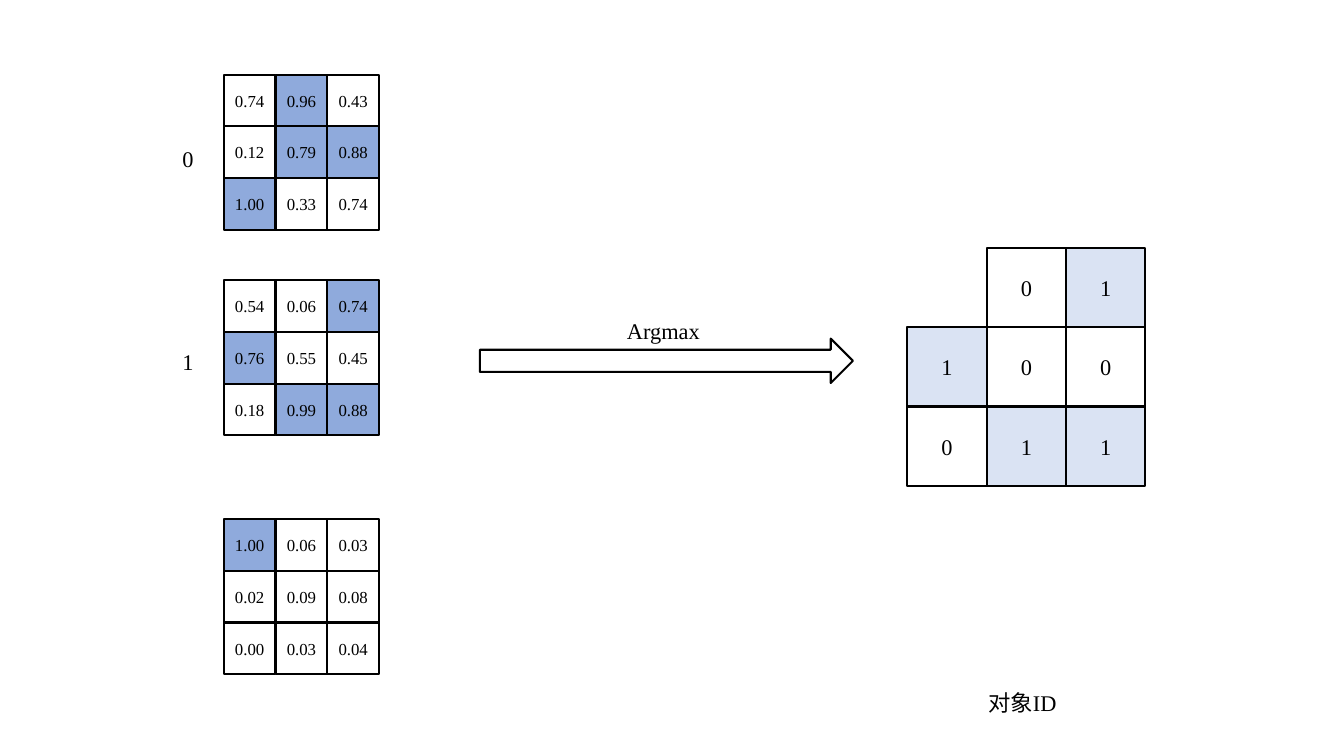
"""Build a slide showing how argmax over score grids gives object IDs."""
from pptx import Presentation
from pptx.dml.color import RGBColor
from pptx.enum.shapes import MSO_SHAPE
from pptx.enum.text import MSO_ANCHOR, MSO_AUTO_SIZE, PP_ALIGN
from pptx.util import Inches, Pt

RECTANGLE, RIGHT_ARROW = MSO_SHAPE.RECTANGLE, MSO_SHAPE.RIGHT_ARROW
MIDDLE, CENTER = MSO_ANCHOR.MIDDLE, PP_ALIGN.CENTER
FIT_SHAPE = MSO_AUTO_SIZE.SHAPE_TO_FIT_TEXT

COLORS = {"ink": "000000", "plain": "FFFFFF", "winner": "8FAADC", "object": "DAE3F3"}
SIDE = 3
SCORE_CELL = 1.54 / SIDE
ID_CELL = 2.36 / SIDE
SCORES_LEFT = 2.22
IDS_LEFT, IDS_TOP = 9, 2.46

score_grids = [
    (0.74, [0.74, 0.96, 0.43, 0.12, 0.79, 0.88, 1.00, 0.33, 0.74]),
    (2.78, [0.54, 0.06, 0.74, 0.76, 0.55, 0.45, 0.18, 0.99, 0.88]),
    (5.15, [1.00, 0.06, 0.03, 0.02, 0.09, 0.08, 0.00, 0.03, 0.04]),
]
labels = [
    ("Argmax", 6.01, 3.1, 1.14),
    ("0", 1.71, 1.39, 0.28),
    ("1", 1.71, 3.4, 0.28),
    ("对象ID", 9.16, 6.79, 1.96),
]


def write(shape, text, size):
    frame = shape.text_frame
    frame.word_wrap = True
    para = frame.paragraphs[0]
    para.alignment = CENTER
    span = para.add_run()
    span.text = text
    for name, value in {"name": "Times New Roman", "size": Pt(size)}.items():
        setattr(span.font, name, value)
    span.font.color.rgb = RGBColor.from_string(COLORS["ink"])


def add_outlined(kind, left, top, width, height, fill, text="", size=12):
    shape = page.shapes.add_shape(
        kind, Inches(left), Inches(top), Inches(width), Inches(height)
    )
    shape.shadow.inherit = False
    shape.fill.solid()
    shape.fill.fore_color.rgb = RGBColor.from_string(COLORS[fill])
    shape.line.color.rgb = RGBColor.from_string(COLORS["ink"])
    shape.line.width = Pt(1.5)
    if text:
        margins = ("margin_left", "margin_right", "margin_top", "margin_bottom")
        for margin in margins:
            setattr(shape.text_frame, margin, Inches(0.1))
        shape.text_frame.vertical_anchor = MIDDLE
        write(shape, text, size)


deck = Presentation()
deck.slide_width, deck.slide_height = Inches(13.33), Inches(7.5)
page = deck.slides.add_slide(deck.slide_layouts[6])

stacks = zip(*(scores for _, scores in score_grids))
object_ids = [stack.index(max(stack)) for stack in stacks]

for grid_id, (grid_top, scores) in enumerate(score_grids):
    for index, score in enumerate(scores):
        row, column = divmod(index, SIDE)
        left = SCORES_LEFT + column * SCORE_CELL
        top = grid_top + row * SCORE_CELL
        fill = "winner" if object_ids[index] == grid_id else "plain"
        add_outlined(RECTANGLE, left, top, SCORE_CELL, SCORE_CELL, fill, f"{score:.2f}")

add_outlined(RIGHT_ARROW, 4.76, 3.36, 3.7, 0.44, "plain")

for index, object_id in enumerate(object_ids):
    if object_id == 2:
        continue
    row, column = divmod(index, SIDE)
    left = IDS_LEFT + column * ID_CELL
    top = IDS_TOP + row * ID_CELL
    fill = "object" if object_id == 1 else "plain"
    add_outlined(RECTANGLE, left, top, ID_CELL, ID_CELL, fill, str(object_id), 16)

for text, left, top, width in labels:
    box = page.shapes.add_textbox(
        Inches(left), Inches(top), Inches(width), Inches(0.37)
    )
    box.text_frame.auto_size = FIT_SHAPE
    write(box, text, 16)

deck.save("out.pptx")
